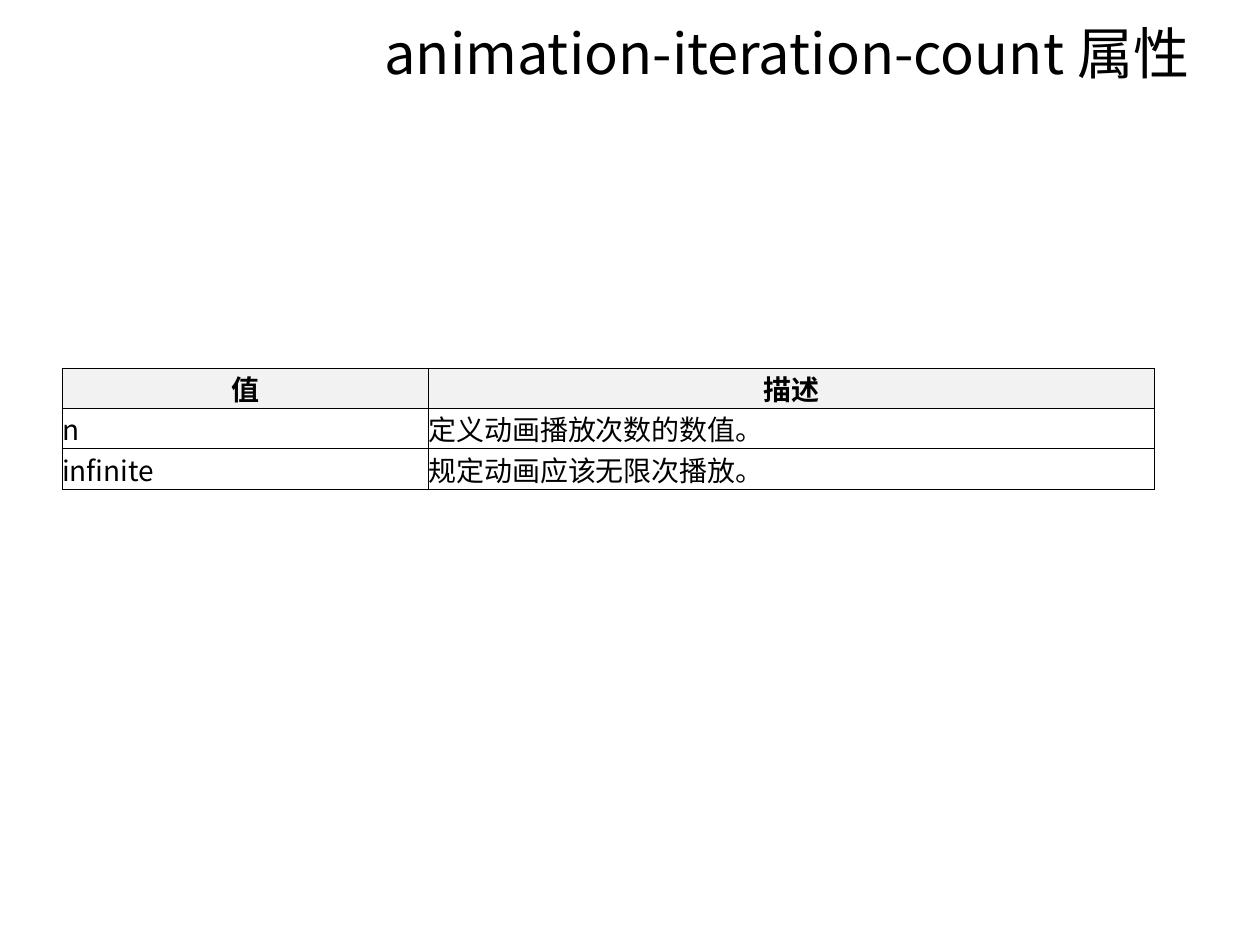
"""Build a slide that lists the values of the animation-iteration-count property."""
from lxml import etree
from pptx import Presentation
from pptx.dml.color import RGBColor
from pptx.enum.text import MSO_ANCHOR, PP_ALIGN
from pptx.oxml.ns import qn
from pptx.util import Cm, Pt

CENTER, LEFT = PP_ALIGN.CENTER, PP_ALIGN.LEFT
MIDDLE = MSO_ANCHOR.MIDDLE
TITLE_ONLY = 5
FONT = "Noto Sans CJK SC"
COLORS = {"text": "000000", "border": "000000", "header": "F2F2F2"}
COLUMN_WIDTHS = (Cm(7.39), Cm(14.63))
ROW_HEIGHT = Cm(0.74)
ROWS = (
    ("值", "描述"),
    ("n", "定义动画播放次数的数值。"),
    ("infinite", "规定动画应该无限次播放。"),
)


def format_text(frame, size, align, bold=False):
    for para in frame.paragraphs:
        para.alignment = align
        for span in para.runs:
            span.font.name = FONT
            span.font.size = Pt(size)
            span.font.bold = bold
            span.font.color.rgb = RGBColor.from_string(COLORS["text"])
            east_asian = etree.Element(qn("a:ea"), typeface=FONT)
            span.font._element.find(qn("a:latin")).addnext(east_asian)


def add_borders(cell):
    properties = cell._tc.get_or_add_tcPr()
    for index, side in enumerate(("lnL", "lnR", "lnT", "lnB")):
        line = etree.Element(qn(f"a:{side}"), w=str(Pt(0.5)))
        fill = etree.SubElement(line, qn("a:solidFill"))
        etree.SubElement(fill, qn("a:srgbClr"), val=COLORS["border"])
        properties.insert(index, line)


def format_cell(cell, text, is_header):
    cell.text_frame.text = text
    cell.vertical_anchor = MIDDLE
    cell.margin_left = cell.margin_right = cell.margin_top = cell.margin_bottom = 0
    if is_header:
        cell.fill.solid()
        cell.fill.fore_color.rgb = RGBColor.from_string(COLORS["header"])
    else:
        cell.fill.background()
    add_borders(cell)
    format_text(cell.text_frame, 16, CENTER if is_header else LEFT, is_header)


def set_title(page, text):
    title = page.shapes.title
    title.left, title.top, title.width, title.height = Cm(6.58), Cm(0.08), Cm(18.57), Cm(1.93)
    title.text_frame.text = text
    title.text_frame.vertical_anchor = MIDDLE
    format_text(title.text_frame, 32, CENTER)


def add_value_table(page):
    frame = page.shapes.add_table(
        len(ROWS), len(COLUMN_WIDTHS), Cm(1.25), Cm(7.42),
        sum(COLUMN_WIDTHS), ROW_HEIGHT * len(ROWS))
    table = frame.table
    table.first_row = table.horz_banding = False
    for column, width in zip(table.columns, COLUMN_WIDTHS):
        column.width = width
    for row_index, texts in enumerate(ROWS):
        table.rows[row_index].height = ROW_HEIGHT
        for column_index, text in enumerate(texts):
            format_cell(table.cell(row_index, column_index), text, row_index == 0)


def main():
    deck = Presentation()
    deck.slide_width, deck.slide_height = Cm(25.4), Cm(19.05)
    page = deck.slides.add_slide(deck.slide_layouts[TITLE_ONLY])
    set_title(page, "animation-iteration-count 属性")
    add_value_table(page)
    deck.save("out.pptx")


if __name__ == "__main__":
    main()
